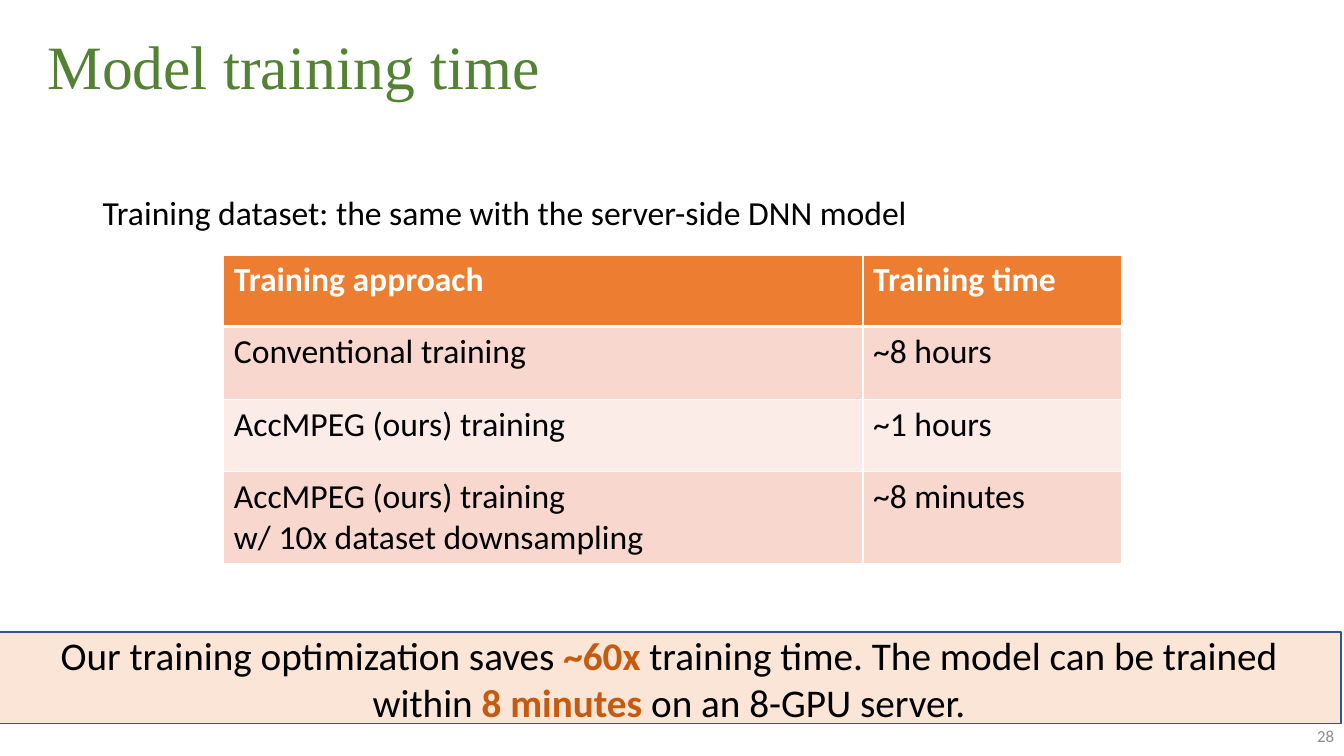
"""Build the slide on model training time."""
import pptx
import pptx.dml.color
import pptx.enum.shapes
import pptx.enum.text
import pptx.oxml
import pptx.oxml.ns
import pptx.util
from pptx.util import Inches

TITLE = "Model training time"
PAGE_NUMBER = "28"
DATASET_NOTE = "Training dataset: the same with the server-side DNN model"
ROWS = [
    ("Training approach", "Training time"),
    ("Conventional training", "~8 hours"),
    ("AccMPEG (ours) training", "~1 hours"),
    ("AccMPEG (ours) training\nw/ 10x dataset downsampling", "~8 minutes"),
]
TAKEAWAY = [
    ("Our training optimization saves ", False),
    ("~60x ", True),
    ("training time. The model can be trained within ", False),
    ("8 minutes", True),
    (" on an 8-GPU server.", False),
]
COLUMN_WIDTHS = (6.34, 2.56)
ROW_HEIGHTS = (0.71, 0.72, 0.72, 0.91)
COLORS = {
    "title": "548235",
    "page": "8C8C8C",
    "text": "000000",
    "white": "FFFFFF",
    "header": "ED7D31",
    "odd": "F8D7CE",
    "even": "FCECE8",
    "banner": "FBE5D6",
    "banner_line": "325491",
    "emphasis": "C55A11",
}
ALIGN = pptx.enum.text.PP_ALIGN
ANCHOR = pptx.enum.text.MSO_ANCHOR


def rgb(name):
    return pptx.dml.color.RGBColor.from_string(COLORS[name])


def write_text(frame, text, size=24, font="Calibri", color="text", bold=False,
               align=ALIGN.LEFT, anchor=ANCHOR.TOP, wrap=True, spacing=None):
    """Write a string, or a list of (words, emphasized) runs, into a text frame."""
    frame.word_wrap = wrap
    frame.vertical_anchor = anchor
    if isinstance(text, str):
        lines = [[(line, False)] for line in text.split("\n")]
    else:
        lines = [text]
    for index, line in enumerate(lines):
        paragraph = frame.add_paragraph() if index else frame.paragraphs[0]
        paragraph.alignment = align
        paragraph.line_spacing = spacing
        for words, emphasized in line:
            run = paragraph.add_run()
            run.text = words
            run.font.name = font
            run.font.size = pptx.util.Pt(size)
            run.font.bold = bold or emphasized
            run.font.color.rgb = rgb("emphasis" if emphasized else color)


def add_text_box(slide, box, text, **text_format):
    shape = slide.shapes.add_textbox(*map(Inches, box))
    write_text(shape.text_frame, text, **text_format)


def set_borders(cell, widths):
    properties = cell._tc.get_or_add_tcPr()
    for index, (side, width) in enumerate(widths.items()):
        border = pptx.oxml.parse_xml(
            f'<a:ln{side} {pptx.oxml.ns.nsdecls("a")} w="{pptx.util.Pt(width)}">'
            f'<a:solidFill><a:srgbClr val="{COLORS["white"]}"/></a:solidFill>'
            f'</a:ln{side}>')
        properties.insert(index, border)


def add_training_table(slide):
    table = slide.shapes.add_table(
        len(ROWS), len(COLUMN_WIDTHS), Inches(2.22), Inches(2.53),
        Inches(sum(COLUMN_WIDTHS)), Inches(sum(ROW_HEIGHTS))).table
    for column, width in zip(table.columns, COLUMN_WIDTHS):
        column.width = Inches(width)
    for row_index, (row, height) in enumerate(zip(table.rows, ROW_HEIGHTS)):
        row.height = Inches(height)
        header = row_index == 0
        fill = "header" if header else "odd" if row_index % 2 else "even"
        for cell, text in zip(row.cells, ROWS[row_index]):
            write_text(cell.text_frame, text, bold=header,
                       color="white" if header else "text")
            cell.fill.solid()
            cell.fill.fore_color.rgb = rgb(fill)
            set_borders(cell, {"L": 1, "R": 1, "T": 3 if row_index == 1 else 1,
                               "B": 3 if header else 1})


def add_banner(slide):
    banner = slide.shapes.add_shape(
        pptx.enum.shapes.MSO_SHAPE.RECTANGLE,
        Inches(-0.03), Inches(6.27), Inches(13.33), Inches(0.91))
    banner.shadow.inherit = False
    banner.fill.solid()
    banner.fill.fore_color.rgb = rgb("banner")
    banner.line.color.rgb = rgb("banner_line")
    banner.line.width = pptx.util.Pt(1)
    write_text(banner.text_frame, TAKEAWAY, size=28,
               align=ALIGN.CENTER, anchor=ANCHOR.MIDDLE)


def main():
    presentation = pptx.Presentation()
    presentation.slide_width = Inches(13.33)
    presentation.slide_height = Inches(7.5)
    slide = presentation.slides.add_slide(presentation.slide_layouts[6])
    add_text_box(slide, (0.37, 0.18, 12.52, 1.01), TITLE, size=44,
                 font="Times New Roman", color="title",
                 anchor=ANCHOR.MIDDLE, spacing=0.9)
    add_text_box(slide, (10.33, 7.1, 3, 0.4), PAGE_NUMBER, size=12,
                 color="page", align=ALIGN.RIGHT, anchor=ANCHOR.MIDDLE)
    add_training_table(slide)
    add_text_box(slide, (0.92, 1.85, 8.25, 0.5), DATASET_NOTE, wrap=False)
    add_banner(slide)
    presentation.save("out.pptx")


if __name__ == "__main__":
    main()
